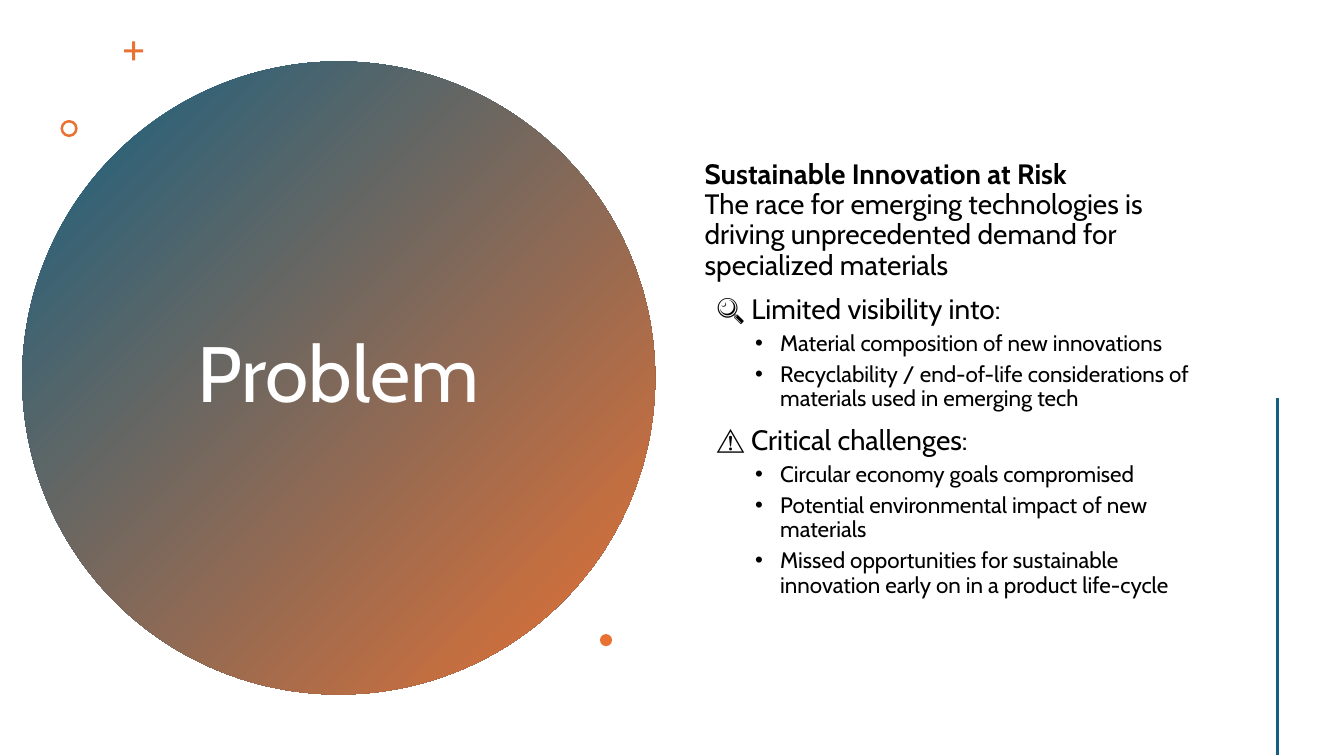
from lxml.etree import SubElement
from pptx import Presentation
from pptx.dml.color import RGBColor
from pptx.enum.shapes import MSO_CONNECTOR as Link, MSO_SHAPE as Kind
from pptx.enum.text import MSO_ANCHOR as Anchor, PP_ALIGN as Align
from pptx.oxml.ns import qn
from pptx.util import Inches, Pt

TEAL, ORANGE, WHITE, BLACK = "156082", "E97132", "FFFFFF", "000000"


def paint(code):
    return RGBColor.from_string(code)


class Deck:
    """Style and current slide; places are percent of the slide's size."""
    font = "Cabin"

    def __init__(self):
        self.prs = Presentation()
        self.prs.slide_width = Inches(13.33)
        self.prs.slide_height = Inches(7.5)
        self.slide = self.prs.slides.add_slide(self.prs.slide_layouts[6])

    def spot(self, *shares):
        sides = self.prs.slide_width, self.prs.slide_height
        return [int(sides[i % 2] * s / 100) for i, s in enumerate(shares)]

    def shape(self, kind, box, color, adjust=None):
        item = self.slide.shapes.add_shape(kind, *self.spot(*box))
        item.shadow.inherit = False
        item.line.fill.background()
        if adjust is not None:
            item.adjustments[0] = adjust
        if isinstance(color, str):
            item.fill.solid()
            item.fill.fore_color.rgb = paint(color)
        else:
            item.fill.gradient()
            item.fill.gradient_angle = 315
            for i, (stop, code) in enumerate(zip(item.fill.gradient_stops, color)):
                stop.position = i
                stop.color.rgb = paint(code)

    def line(self, ends, color, width):
        item = self.slide.shapes.add_connector(Link.STRAIGHT, *self.spot(*ends))
        item.line.color.rgb = paint(color)
        item.line.width = Pt(width)
        SubElement(item._element.spPr, qn("a:effectLst"))

    def frame(self, box):
        frame = self.slide.shapes.add_textbox(*self.spot(*box)).text_frame
        frame.word_wrap = True
        frame.vertical_anchor = Anchor.MIDDLE
        return frame

    def para(self, frame, first=False, before=0, align=Align.LEFT,
             left=0, hang=0):
        para = frame.paragraphs[0] if first else frame.add_paragraph()
        para.alignment = align
        para.line_spacing = 0.9
        para.space_before = Pt(before)
        props = para._p.get_or_add_pPr()
        props.set("marL", str(Inches(left)))
        props.set("indent", str(Inches(-hang)))
        if hang:
            SubElement(props, qn("a:buFont")).set("typeface", "Arial")
            SubElement(props, qn("a:buChar")).set("char", "•")
        return para

    def run(self, para, text, size, color=BLACK, bold=False):
        run = para.add_run()
        run.text = text
        run.font.name = self.font
        run.font.size = Pt(size)
        run.font.bold = bold
        run.font.color.rgb = paint(color)


def main():
    deck = Deck()

    # Title disc
    deck.shape(Kind.OVAL, (1.65, 8.13, 47.1, 83.73), (TEAL, ORANGE))
    title = deck.frame((10.2, 18.8, 29.93, 62.27))
    deck.run(deck.para(title, first=True, align=Align.CENTER),
             "Problem", 56, WHITE)

    # Small ornaments
    deck.shape(Kind.CROSS, (9.23, 5.47, 1.43, 2.53), ORANGE, 0.42)
    deck.shape(Kind.DONUT, (4.5, 15.87, 1.28, 2.27), ORANGE, 0.15)
    deck.shape(Kind.OVAL, (44.64, 83.87, 0.9, 1.6), ORANGE)

    # Lead paragraph
    body = deck.frame((51.69, 7.6, 39.16, 85.07))
    lead = deck.para(body, first=True, before=10)
    deck.run(lead, "Sustainable Innovation at Risk", 20, bold=True)
    lead.add_line_break()
    deck.run(lead, "The race for emerging technologies is driving "
             "unprecedented demand for specialized materials", 20)

    # Headed lists
    groups = {
        "🔍 Limited visibility into:": (
            "Material composition of new innovations",
            "Recyclability / end-of-life considerations of materials used "
            "in emerging tech"),
        "⚠️ Critical challenges:": (
            "Circular economy goals compromised",
            "Potential environmental impact of new materials",
            "Missed opportunities for sustainable innovation early on in a "
            "product life-cycle"),
    }
    for head, points in groups.items():
        deck.run(deck.para(body, before=10, left=0.12), head, 20)
        for point in points:
            deck.run(deck.para(body, before=5, left=0.75, hang=0.25), point, 16)

    # Side rule
    deck.line((95.05, 52.67, 95.05, 99.87), TEAL, 2)

    deck.prs.save("out.pptx")


if __name__ == "__main__":
    main()
